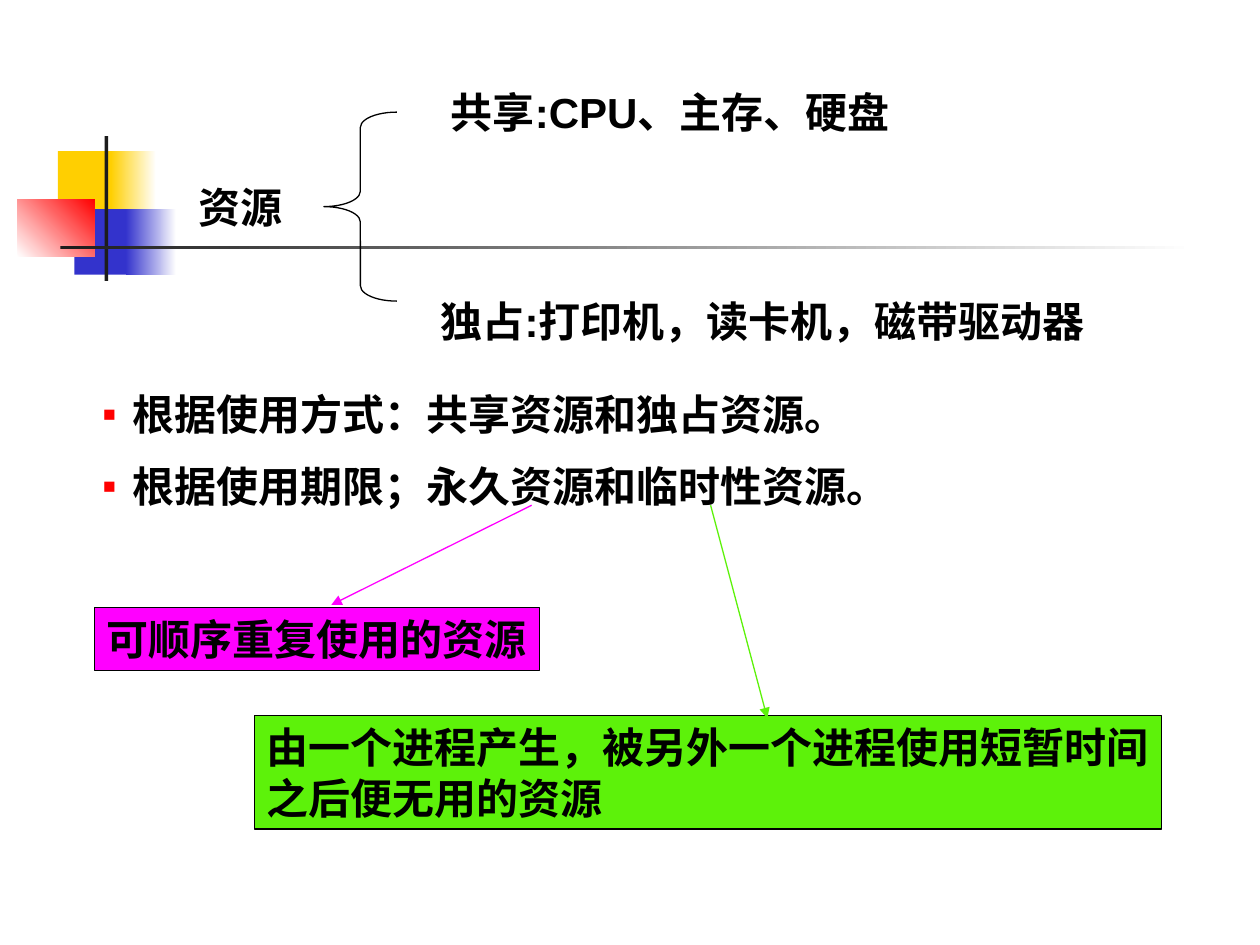
from lxml.etree import SubElement as Sub
from pptx import Presentation
from pptx.dml.color import RGBColor
from pptx.enum.shapes import MSO_CONNECTOR as Conn, MSO_SHAPE as Kind
from pptx.enum.text import MSO_ANCHOR as Anchor, PP_ALIGN as Align
from pptx.oxml.ns import qn
from pptx.util import Inches, Pt

BLACK = RGBColor(0x00, 0x00, 0x00)
WHITE = RGBColor(0xFF, 0xFF, 0xFF)
DARK = RGBColor(0x1C, 0x1C, 0x1C)
GOLD = RGBColor(0xFF, 0xCF, 0x01)
BLUE = RGBColor(0x33, 0x33, 0xCC)
RED = RGBColor(0xFF, 0x00, 0x00)
PINK = RGBColor(0xFF, 0x00, 0xFF)
GREEN = RGBColor(0x5D, 0xF2, 0x0A)

FONTS = ("Arial", "Times New Roman")


def bullet(para, color=RED, size=50, indent=0.23):
    props = para._p.get_or_add_pPr()
    props.set("marL", str(Inches(indent)))
    props.set("indent", str(-Inches(indent)))
    tint = Sub(props, qn("a:buClr"))
    Sub(tint, qn("a:srgbClr"), val=str(color))
    Sub(props, qn("a:buSzPct"), val=str(size * 1000))
    Sub(props, qn("a:buFont"), typeface=FONTS[0])
    Sub(props, qn("a:buChar"), char="■")


def write(frame, lines, size=24, color=BLACK, wrap=True, gap=0,
          pitch=None, marks=False):
    """Each line is a tuple of runs; the runs take FONTS in turn."""
    frame.word_wrap = wrap
    frame.vertical_anchor = Anchor.TOP
    for i, line in enumerate(lines):
        para = frame.add_paragraph() if i else frame.paragraphs[0]
        para.alignment = Align.LEFT
        para.line_spacing = pitch
        para.space_before = Pt(gap if i else 0)
        if marks:
            bullet(para)
        for part, name in zip(line, FONTS):
            run = para.add_run()
            run.text = part
            font = run.font
            font.name, font.size, font.bold = name, Pt(size), True
            font.color.rgb = color


class Page:
    thin = Pt(0.75)

    def __init__(self, slide):
        self.shapes = slide.shapes

    def shape(self, kind, box, fill=None, line=None):
        item = self.shapes.add_shape(kind, *map(Inches, box))
        item.shadow.inherit = False
        if fill is None:
            item.fill.background()
        else:
            item.fill.solid()
            item.fill.fore_color.rgb = fill
        if line is None:
            item.line.fill.background()
        else:
            item.line.color.rgb = line
            item.line.width = self.thin
        return item

    def fade(self, box, start, end=WHITE, angle=0):
        fill = self.shape(Kind.RECTANGLE, box).fill
        fill.gradient()
        fill.gradient_angle = angle
        for stop, color, pos in zip(fill.gradient_stops, (start, end), (0, 1)):
            stop.color.rgb = color
            stop.position = pos

    def text(self, box, *lines, **style):
        item = self.shapes.add_textbox(*map(Inches, box))
        write(item.text_frame, lines, **style)

    def note(self, box, fill, *lines):
        item = self.shape(Kind.RECTANGLE, box, fill, BLACK)
        write(item.text_frame, lines, wrap=False)

    def brace(self, box, bend):
        item = self.shape(Kind.LEFT_BRACE, box, line=BLACK)
        item.adjustments[0] = bend

    def arrow(self, start, end, color):
        item = self.shapes.add_connector(
            Conn.STRAIGHT, *map(Inches, start + end))
        item.line.color.rgb = color
        item.line.width = self.thin
        Sub(item.line._get_or_add_ln(), qn("a:tailEnd"), type="triangle")
        Sub(item._element.spPr, qn("a:effectLst"))


def main():
    deck = Presentation()
    deck.slide_width, deck.slide_height = Inches(10), Inches(7.5)
    page = Page(deck.slides.add_slide(deck.slide_layouts[6]))

    # Corner ornament and rule
    page.shape(Kind.RECTANGLE, (0.46, 1.2, 0.48, 0.52), GOLD)
    page.fade((0.88, 1.2, 0.36, 0.52), GOLD)
    page.shape(Kind.RECTANGLE, (0.59, 1.66, 0.46, 0.52), BLUE)
    page.fade((1, 1.66, 0.4, 0.52), BLUE)
    page.fade((0.14, 1.58, 0.61, 0.46), WHITE, RED, angle=45)
    page.shape(Kind.RECTANGLE, (0.83, 1.08, 0.03, 1.15), DARK)
    page.fade((0.48, 1.95, 9, 0.03), DARK)

    # Ways to sort resources
    page.text((0.72, 3.08, 8.08, 1.03),
              ("根据使用方式：共享资源和独占资源。",),
              ("根据使用期限；永久资源和临时性资源", "。"),
              gap=15, pitch=0.9, marks=True)

    # Resource tree
    page.text((1.48, 1.39, 1.17, 0.5), ("资源",))
    page.brace((2.57, 0.89, 0.58, 1.5), 0.21)
    page.text((3.48, 0.64, 6.58, 0.5), ("共享:CPU、主存、硬盘",))
    page.text((3.4, 2.3, 6.67, 0.5), ("独占:打印机，读卡机，磁带驱动器",))

    # Meaning of the two terms
    page.note((0.75, 4.82, 3.53, 0.5), PINK, ("可顺序重复使用的资源",))
    page.note((2.02, 5.68, 7.2, 0.9), GREEN,
              ("由一个进程产生，被另外一个进程使用短暂时间",),
              ("之后便无用的资源",))
    page.arrow((5.64, 4.01), (6.09, 5.7), GREEN)
    page.arrow((4.22, 4.01), (2.63, 4.8), PINK)

    deck.save("out.pptx")


if __name__ == "__main__":
    main()
